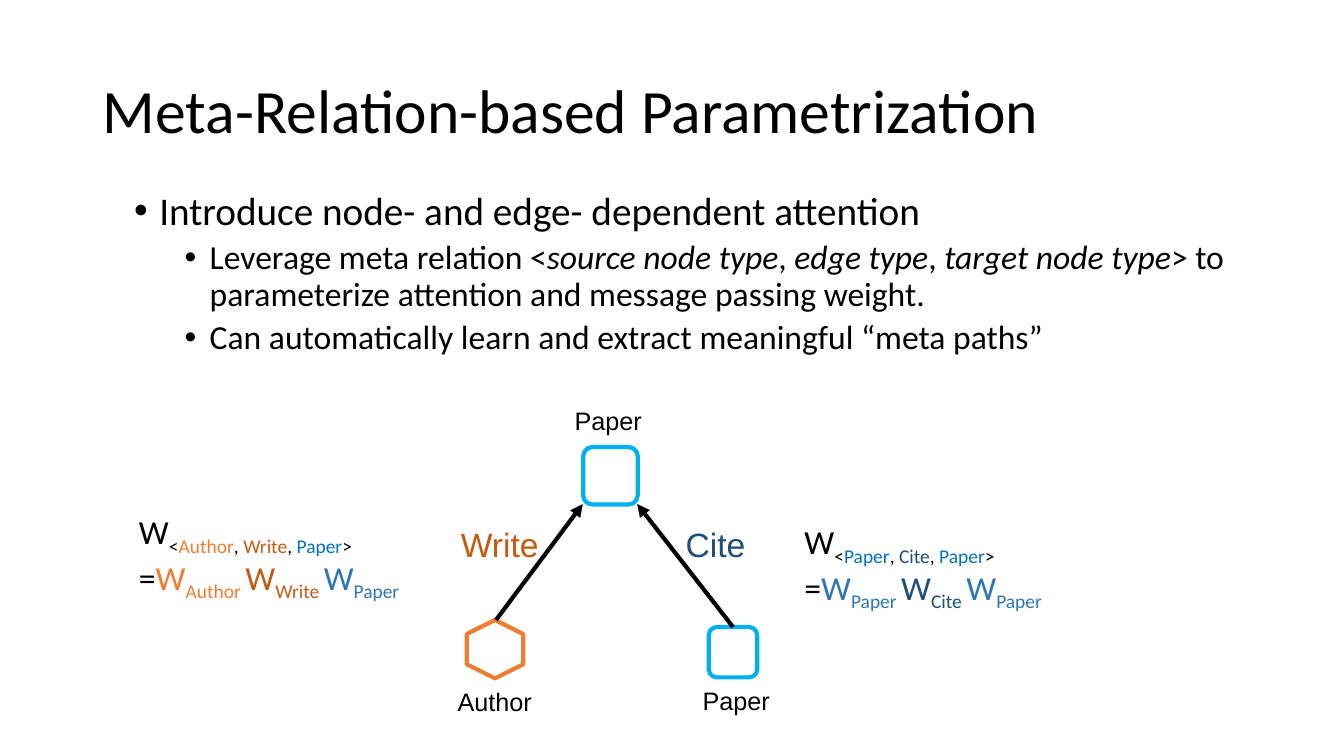
from lxml.etree import SubElement
from pptx import Presentation
from pptx.dml.color import RGBColor
from pptx.enum.shapes import MSO_CONNECTOR, MSO_SHAPE
from pptx.enum.text import MSO_ANCHOR, MSO_AUTO_SIZE, PP_ALIGN
from pptx.oxml.ns import qn
from pptx.util import Inches, Pt

WIDTH, HEIGHT = 13.33, 7.5
BLACK, WHITE, BLUE, ORANGE = "000000", "FFFFFF", "00B0F0", "ED7D31"

TITLE = "Meta-Relation-based Parametrization"
TITLE_AREA = (0.92, 0.4, 11.71, 1.45)
BODY_AREA = (1.23, 1.85, 11.08, 1.91)
POINTS = [
    (0, ["Introduce node- and edge- dependent attention"]),
    (1, ["Leverage meta relation <", "source node type", ", ", "edge type", ", ",
         "target node type", "> to parameterize attention and message passing weight."]),
    (1, ["Can automatically learn and extract meaningful “meta paths”"]),
]
LEVELS = [
    {"size": 28, "indent": 0.25, "before": 10},
    {"size": 24, "indent": 0.75, "before": 5},
]
INDEX_COLORS = {"Author": ORANGE, "Write": "C55A11", "Cite": "1F4E79", "Paper": "0070C0"}
WEIGHT_COLORS = {**INDEX_COLORS, "Paper": "2E75B6"}
RELATIONS = [
    (("Author", "Write", "Paper"), (1.28, 5.02, 3.39, 0.91)),
    (("Paper", "Cite", "Paper"), (7.88, 5.12, 3.85, 0.91)),
]
NODES = {
    "target": (MSO_SHAPE.ROUNDED_RECTANGLE, BLUE, (5.77, 4.45, 0.57, 0.54)),
    "author": (MSO_SHAPE.HEXAGON, ORANGE, (4.62, 6.16, 0.58, 0.56)),
    "source": (MSO_SHAPE.ROUNDED_RECTANGLE, BLUE, (7.02, 6.23, 0.5, 0.48)),
}
EDGES = [
    ("source", (7.27, 6.22), (6.32, 5)),
    ("author", (4.92, 6.15), (5.78, 5)),
]
NODE_LABELS = [
    ("Paper", (5.6, 3.97, 0.88, 0.4)),
    ("Author", (4.44, 6.76, 0.95, 0.4)),
    ("Paper", (6.87, 6.75, 0.88, 0.4)),
]
EDGE_LABELS = [
    ("Cite", (6.8, 5.2, 0.6, 0.4)),
    ("Write", (4.57, 5.2, 0.78, 0.4)),
]


def color(hex_string):
    return RGBColor.from_string(hex_string)


def inches(values):
    return [Inches(value) for value in values]


def place(shape, area):
    shape.left, shape.top, shape.width, shape.height = inches(area)


def style(paragraph, size, name="Calibri", ink=BLACK):
    paragraph.font.size = Pt(size)
    paragraph.font.name = name
    paragraph.font.color.rgb = color(ink)


def add_run(paragraph, text, ink=None, subscript=False):
    run = paragraph.add_run()
    run.text = text
    if ink:
        run.font.color.rgb = color(ink)
    if subscript:
        run._r.get_or_add_rPr().set("baseline", "-25000")
    return run


def add_text_box(area, wrap):
    frame = slide.shapes.add_textbox(*inches(area)).text_frame
    frame.word_wrap = wrap
    frame.auto_size = MSO_AUTO_SIZE.SHAPE_TO_FIT_TEXT
    return frame


def add_label(text, area, size, ink, inset):
    frame = add_text_box(area, False)
    if not inset:
        frame.margin_left = frame.margin_top = 0
        frame.margin_right = frame.margin_bottom = 0
    add_run(frame.paragraphs[0], text)
    style(frame.paragraphs[0], size, "Arial", ink)


def add_title():
    title = slide.shapes.title
    place(title, TITLE_AREA)
    frame = title.text_frame
    frame.text = TITLE
    frame.auto_size = MSO_AUTO_SIZE.NONE
    frame.vertical_anchor = MSO_ANCHOR.MIDDLE
    heading = frame.paragraphs[0]
    heading.alignment = PP_ALIGN.LEFT
    heading.line_spacing = 0.9
    style(heading, 44)


def add_points():
    body = slide.placeholders[1]
    place(body, BODY_AREA)
    frame = body.text_frame
    frame.auto_size = MSO_AUTO_SIZE.NONE
    for number, (depth, pieces) in enumerate(POINTS):
        point = frame.add_paragraph() if number else frame.paragraphs[0]
        level = LEVELS[depth]
        point.level = depth
        properties = point._p.get_or_add_pPr()
        properties.set("marL", str(Inches(level["indent"])))
        properties.set("indent", str(Inches(-0.25)))
        SubElement(properties, qn("a:buFont")).set("typeface", "Arial")
        SubElement(properties, qn("a:buChar")).set("char", "•")
        point.line_spacing = 0.9
        point.space_before = Pt(level["before"] if number else 0)
        style(point, level["size"])
        for position, piece in enumerate(pieces):
            run = add_run(point, piece)
            if position % 2:
                run.font.italic = True


def add_formula(relation, area):
    frame = add_text_box(area, True)
    index, product = frame.paragraphs[0], frame.add_paragraph()
    last = len(relation) - 1
    add_run(index, "W")
    add_run(index, "<", subscript=True)
    add_run(product, "=")
    for position, name in enumerate(relation):
        add_run(index, name, INDEX_COLORS[name], True)
        add_run(index, ", " if position < last else ">", subscript=True)
        add_run(product, "W", WEIGHT_COLORS[name])
        add_run(product, name + (" " if position < last else ""), WEIGHT_COLORS[name], True)
    for line in (index, product):
        style(line, 24)


def add_node(kind, outline, area):
    node = slide.shapes.add_shape(kind, *inches(area))
    node.rotation = 270
    node.shadow.inherit = False
    node.fill.solid()
    node.fill.fore_color.rgb = color(WHITE)
    node.line.color.rgb = color(outline)
    node.line.width = Pt(3)
    return node


def add_edge(origin, start, end):
    edge = slide.shapes.add_connector(MSO_CONNECTOR.STRAIGHT, *inches(start + end))
    if NODES[origin][0] == MSO_SHAPE.ROUNDED_RECTANGLE:
        edge.begin_connect(nodes[origin], 3)
        edge.begin_x, edge.begin_y = inches(start)
    edge.line.color.rgb = color(BLACK)
    edge.line.width = Pt(3)
    SubElement(edge.line._get_or_add_ln(), qn("a:tailEnd")).set("type", "triangle")
    SubElement(edge._element.spPr, qn("a:effectLst"))


presentation = Presentation()
presentation.slide_width, presentation.slide_height = inches((WIDTH, HEIGHT))
slide = presentation.slides.add_slide(presentation.slide_layouts[1])

add_title()
add_points()
for relation, area in RELATIONS:
    add_formula(relation, area)
nodes = {name: add_node(*node) for name, node in NODES.items()}
for edge in EDGES:
    add_edge(*edge)
for text, area in NODE_LABELS:
    add_label(text, area, 18, BLACK, True)
for text, area in EDGE_LABELS:
    add_label(text, area, 24, INDEX_COLORS[text], False)

presentation.save("out.pptx")
